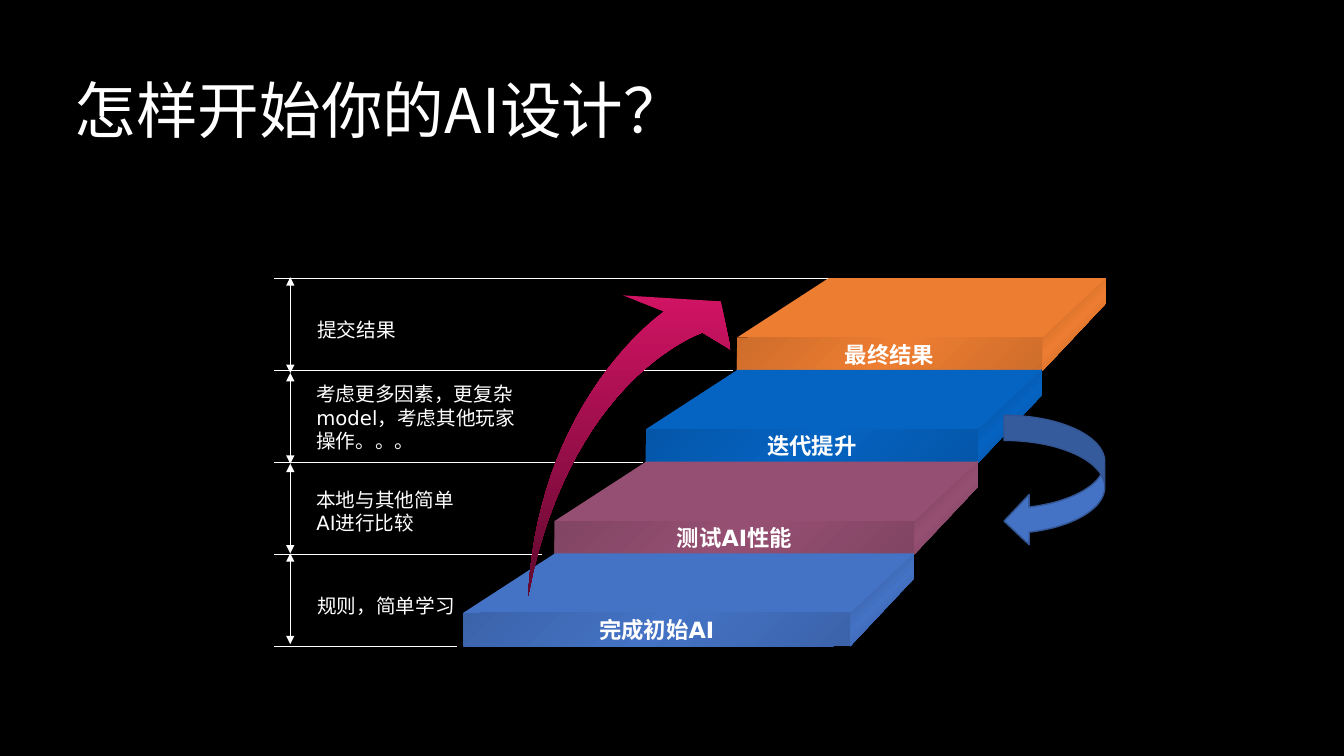
from lxml.etree import SubElement
from pptx import Presentation
from pptx.dml.color import RGBColor
from pptx.enum.lang import MSO_LANGUAGE_ID
from pptx.enum.shapes import MSO_CONNECTOR, MSO_SHAPE
from pptx.enum.text import MSO_ANCHOR, MSO_AUTO_SIZE, PP_ALIGN
from pptx.oxml import parse_xml
from pptx.oxml.ns import nsdecls, qn
from pptx.util import Inches, Pt

COLORS = {
    "background": "000000", "white": "FFFFFF",
    "orange": "ED7D31", "orange_side": "AA5923", "orange_front": "CE6D2B",
    "blue": "0563C1", "blue_side": "04478A", "blue_front": "0456A8",
    "plum": "954F72", "plum_side": "6B3952", "plum_front": "824563",
    "indigo": "4472C4", "indigo_side": "31528C", "indigo_front": "3B63AA",
    "indigo_edge": "325491", "pink": "D11364", "wine": "61092E",
}
COLUMNS, ROWS = 133.33, 75
TITLE_FONT, BODY_FONT = "Noto Sans CJK SC", "DejaVu Sans"


def bezier(start, first, second, end, steps=30):
    points = []
    for step in range(steps + 1):
        t = step / steps
        u = 1 - t
        points.append(tuple(
            u ** 3 * a + 3 * u * u * t * b + 3 * u * t * t * c + t ** 3 * d
            for a, b, c, d in zip(start, first, second, end)))
    return points


class StairSlide:
    def __init__(self, presentation):
        self.column = presentation.slide_width / COLUMNS
        self.row = presentation.slide_height / ROWS
        self.slide = presentation.slides.add_slide(presentation.slide_layouts[5])
        self.shapes = self.slide.shapes
        background = self.slide.background.fill
        background.solid()
        background.fore_color.rgb = self.color("background")

    def color(self, name):
        return RGBColor.from_string(COLORS[name])

    def place(self, *lengths):
        return [round(length * (self.row if index % 2 else self.column))
                for index, length in enumerate(lengths)]

    def add_text(self, paragraph, text, size, font=BODY_FONT, bold=False):
        run = paragraph.add_run()
        run.text = text
        run.font.size = Pt(size)
        run.font.name = font
        run.font.bold = bold
        run.font.color.rgb = self.color("white")
        run.font.language_id = MSO_LANGUAGE_ID.SIMPLIFIED_CHINESE

    def title(self, text, *box):
        title = self.shapes.title
        title.left, title.top, title.width, title.height = self.place(*box)
        frame = title.text_frame
        frame.auto_size = MSO_AUTO_SIZE.NONE
        frame.vertical_anchor = MSO_ANCHOR.MIDDLE
        paragraph = frame.paragraphs[0]
        paragraph.alignment = PP_ALIGN.LEFT
        paragraph.line_spacing = 0.9
        self.add_text(paragraph, text, 44, TITLE_FONT)

    def note(self, text, wrap, *box):
        frame = self.shapes.add_textbox(*self.place(*box)).text_frame
        frame.word_wrap = wrap
        frame.auto_size = MSO_AUTO_SIZE.SHAPE_TO_FIT_TEXT
        self.add_text(frame.paragraphs[0], text, 14)

    def line(self, *ends, arrows=False):
        connector = self.shapes.add_connector(MSO_CONNECTOR.STRAIGHT, *self.place(*ends))
        connector.line.color.rgb = self.color("white")
        connector.line.width = Pt(0.75)
        properties = connector._element.spPr
        if arrows:
            for end in ("a:headEnd", "a:tailEnd"):
                SubElement(properties.find(qn("a:ln")), qn(end), type="triangle")
        SubElement(properties, qn("a:effectLst"))

    def paint(self, shape, names, angle=45, edge=None):
        shape.shadow.inherit = False
        if edge:
            shape.line.color.rgb = self.color(edge)
            shape.line.width = Pt(1)
        else:
            shape.line.fill.background()
        if len(names) == 1:
            shape.fill.solid()
            shape.fill.fore_color.rgb = self.color(names[0])
            return
        stops = "".join(
            f'<a:gs pos="{100000 * index // (len(names) - 1)}">'
            f'<a:srgbClr val="{COLORS[name]}"/></a:gs>'
            for index, name in enumerate(names))
        gradient = parse_xml(
            f'<a:gradFill {nsdecls("a")} rotWithShape="1"><a:gsLst>{stops}</a:gsLst>'
            f'<a:lin ang="{angle * 60000}" scaled="0"/></a:gradFill>')
        shape.fill.background()
        properties = shape._element.spPr
        properties.replace(properties.find(qn("a:noFill")), gradient)

    def outline(self, points, names, angle=45):
        corners = [self.place(*point) for point in points]
        builder = self.shapes.build_freeform(*corners[0])
        builder.add_line_segments(corners[1:], close=True)
        self.paint(builder.convert_to_shape(), names, angle)

    def preset(self, kind, names, *box, edge=None):
        shape = self.shapes.add_shape(kind, *self.place(*box))
        self.paint(shape, names, edge=edge)
        return shape

    def tier(self, label, hue, left, right, top):
        front_top, bottom = top + 5.9, top + 9.2
        back_left, back_right = left + 9.1, right + 6.3
        side, front = f"{hue}_side", f"{hue}_front"
        self.outline([(back_right, top + 2.5), (right, bottom), (right, front_top),
                      (back_right, top)], [side, hue, side])
        self.outline([(right, front_top), (left, front_top), (back_left, top),
                      (back_right, top)], [hue])
        shape = self.preset(MSO_SHAPE.RECTANGLE, [front, hue, front],
                            left, front_top, right - left, bottom - front_top)
        frame = shape.text_frame
        frame.word_wrap = False
        frame.vertical_anchor = MSO_ANCHOR.MIDDLE
        frame.paragraphs[0].alignment = PP_ALIGN.CENTER
        self.add_text(frame.paragraphs[0], label, 16, bold=True)


def main():
    presentation = Presentation()
    presentation.slide_width, presentation.slide_height = Inches(13.33), Inches(7.5)
    stairs = StairSlide(presentation)
    stairs.title("怎样开始你的AI设计？", 6.4, 4, 120.6, 14.5)

    for level, guide_end in enumerate([82.2, 72.7, 63.8, 53.8, 45.3]):
        height = 27.6 + 9.13 * level
        stairs.line(guide_end, height, 27.2, height)

    marks = [27.5, 37, 46, 54.9, 63.9]
    for upper, lower in zip(marks, marks[1:]):
        stairs.line(28.8, upper, 28.8, lower, arrows=True)

    for text, wrap, *box in [
        ("提交结果", False, 30.5, 31.1, 9.9, 3.4),
        ("考虑更多因素，更复杂model，考虑其他玩家操作。。。", True, 30.4, 37.4, 23.6, 8.1),
        ("本地与其他简单AI进行比较", True, 30.4, 47.9, 16.4, 5.7),
        ("规则，简单学习", False, 30.5, 58.4, 15.8, 3.4),
    ]:
        stairs.note(text, wrap, *box)

    tiers = [("最终结果", "orange"), ("迭代提升", "blue"),
             ("测试AI性能", "plum"), ("完成初始AI", "indigo")]
    for level, (label, hue) in enumerate(tiers):
        stairs.tier(label, hue, 73.1 - 9.05 * level, 103.4 - 6.35 * level,
                    27.6 + 9.1 * level)

    tail = (52.4, 59.1)
    outer = bezier(tail, (53.4, 39.5), (65.9, 30.9), (65.9, 30.9))
    inner = bezier((69.7, 33), (69.7, 33), (56.6, 37.3), tail)
    head = [(61.8, 29.3), (71.5, 29.9), (72.5, 34.7)]
    stairs.outline(outer + head + inner[:-1], ["pink", "wine"], 90)
    stairs.preset(MSO_SHAPE.CURVED_LEFT_ARROW, ["indigo"], 99.6, 41.2, 10, 13,
                  edge="indigo_edge")
    presentation.save("out.pptx")


if __name__ == "__main__":
    main()
